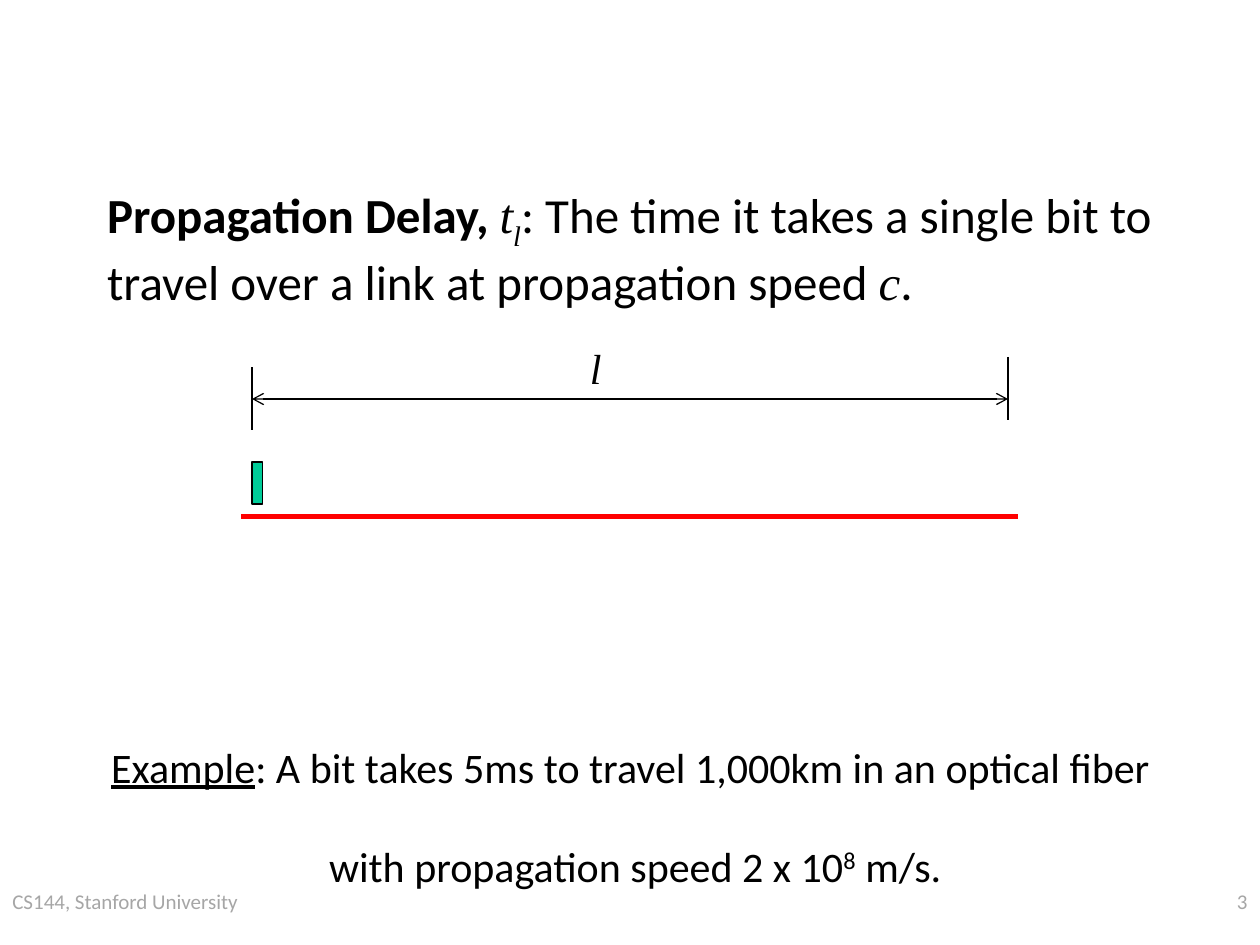
"""Build the propagation delay slide on a grid of 120 columns by 90 rows."""
from typing import NamedTuple

from lxml import etree
from pptx import Presentation
from pptx.dml.color import RGBColor
from pptx.enum.shapes import MSO_CONNECTOR, MSO_SHAPE
from pptx.enum.text import MSO_ANCHOR, MSO_AUTO_SIZE, PP_ALIGN
from pptx.oxml.ns import qn
from pptx.util import Inches, Pt

STRAIGHT, RECTANGLE = MSO_CONNECTOR.STRAIGHT, MSO_SHAPE.RECTANGLE
LEFT, CENTER, RIGHT = PP_ALIGN.LEFT, PP_ALIGN.CENTER, PP_ALIGN.RIGHT
TOP, NO_FIT = MSO_ANCHOR.TOP, MSO_AUTO_SIZE.NONE
COLORS = {"ink": "000000", "muted": "A6A6A6", "link": "FF0000", "bit": "00CC99"}
SANS, SERIF = "Calibri", "Times New Roman"
MATH = {"name": SERIF, "italic": True}
WIDTH, HEIGHT = Inches(10), Inches(7.5)
COLUMN, ROW = WIDTH / 120, HEIGHT / 90


class Span(NamedTuple):
    text: str
    style: dict = {}
    baseline: int = 0


class Label(NamedTuple):
    area: tuple
    lines: list
    size: int
    color: str = "ink"
    align: PP_ALIGN = LEFT
    wrap: bool = True
    gap: int = 0


class Line(NamedTuple):
    start: tuple
    end: tuple
    color: str = "ink"
    weight: float = 0.75
    arrows: bool = False


DEFINITION = Label((9, 17, 103, 16), [[
    Span("Propagation Delay, ", {"bold": True}),
    Span("t", MATH),
    Span("l", MATH, -25000),
    Span(": The time it takes a single bit to travel over a link at propagation speed "),
    Span("c", MATH),
    Span("."),
]], 28)
LABELS = [
    Label((0, 84, 29, 6), [[Span("CS144, Stanford University")]], 12, "muted"),
    Label((95, 84, 25, 6), [[Span("3")]], 12, "muted", RIGHT),
    Label((55, 32, 5, 6), [[Span("l", MATH)]], 24, wrap=False),
    Label((9.5, 70, 102, 11), [
        [Span("Example", {"underline": True}),
         Span(": A bit takes 5ms to travel 1,000km in an optical fiber ")],
        [Span("with propagation speed 2 x 10"), Span("8", baseline=30000), Span(" m/s.")],
    ], 24, align=CENTER, wrap=False, gap=28),
]
LINES = [
    Line((23, 49.2), (97, 49.2), "link", 3),
    Line((24, 35), (24, 41)),
    Line((96, 34), (96, 40)),
    Line((24, 38), (96, 38), arrows=True),
]


def color_of(name: str) -> RGBColor:
    """Look up a named colour."""
    return RGBColor.from_string(COLORS[name])


def place(area: tuple) -> list[int]:
    """Turn grid positions into slide lengths."""
    return [round(value * unit) for value, unit in zip(area, (COLUMN, ROW) * 2)]


def write(box, label: Label) -> None:
    """Fill a box with the label's formatted lines."""
    box.left, box.top, box.width, box.height = place(label.area)
    frame = box.text_frame
    settings = {"word_wrap": label.wrap, "auto_size": NO_FIT, "vertical_anchor": TOP}
    for name, value in settings.items():
        setattr(frame, name, value)
    for index, line in enumerate(label.lines):
        para = frame.add_paragraph() if index else frame.paragraphs[0]
        para.alignment = label.align
        para.space_before = Pt(label.gap if index else 0)
        for part in line:
            span = para.add_run()
            span.text = part.text
            style = {"name": SANS, "size": Pt(label.size)} | part.style
            for name, value in style.items():
                setattr(span.font, name, value)
            span.font.color.rgb = color_of(label.color)
            if part.baseline:
                span.font._element.set("baseline", str(part.baseline))


def write_definition(page) -> None:
    """Put the definition, without a bullet, in the body placeholder."""
    body = page.placeholders[1]
    properties = body.text_frame.paragraphs[0]._p.get_or_add_pPr()
    for name in ("marL", "indent"):
        properties.set(name, "0")
    etree.SubElement(properties, qn("a:buNone"))
    write(body, DEFINITION)


def draw_line(page, line: Line) -> None:
    """Draw a straight line, with open arrowheads if asked."""
    connector = page.shapes.add_connector(STRAIGHT, *place(line.start + line.end))
    connector.line.color.rgb = color_of(line.color)
    connector.line.width = Pt(line.weight)
    if line.arrows:
        for tag in ("a:headEnd", "a:tailEnd"):
            etree.SubElement(connector.line._get_or_add_ln(), qn(tag), type="arrow")
    etree.SubElement(connector._element.spPr, qn("a:effectLst"))


def draw_bit(page) -> None:
    """Draw the bit at the start of the link."""
    bit = page.shapes.add_shape(RECTANGLE, *place((24, 44, 1, 4)))
    bit.shadow.inherit = False
    bit.fill.solid()
    bit.fill.fore_color.rgb = color_of("bit")
    bit.line.color.rgb = color_of("ink")
    bit.line.width = Pt(0.75)


def main() -> None:
    """Build and save the deck."""
    deck = Presentation()
    deck.slide_width, deck.slide_height = WIDTH, HEIGHT
    page = deck.slides.add_slide(deck.slide_layouts[1])
    title = page.shapes.title._element
    title.getparent().remove(title)
    write_definition(page)
    draw_bit(page)
    for line in LINES:
        draw_line(page, line)
    for label in LABELS:
        write(page.shapes.add_textbox(0, 0, 0, 0), label)
    deck.save("out.pptx")


if __name__ == "__main__":
    main()
